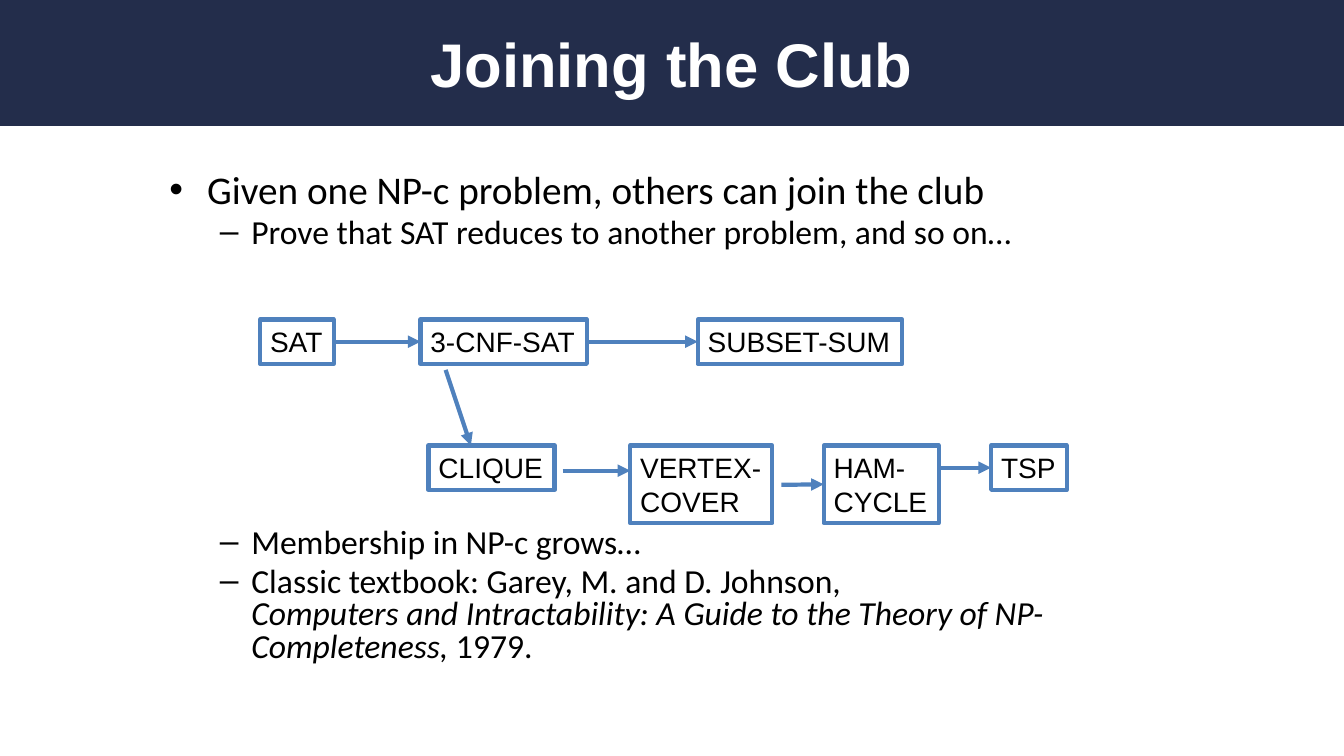
from lxml.etree import SubElement
from pptx import Presentation
from pptx.dml.color import RGBColor
from pptx.enum.shapes import MSO_CONNECTOR, MSO_SHAPE
from pptx.enum.text import MSO_ANCHOR, MSO_AUTO_SIZE, PP_ALIGN
from pptx.oxml.ns import qn
from pptx.util import Inches, Pt

NAVY, BLUE, BLACK, WHITE = "232D4B", "4F81BD", "000000", "FFFFFF"
HEADING = "Joining the Club"
POINTS = [
    (0, 28, 0, [("Given one NP-c problem, others can join the club", False)]),
    (1, 24, 5, [("Prove that SAT reduces to another problem, and so on…", False)]),
    (1, 24, 198, [("Membership in NP-c grows…", False)]),
    (1, 24, 5, [
        ("Classic textbook: Garey, M. and D. Johnson,\n", False),
        ("Computers and Intractability: A Guide to the Theory of NP-Completeness,", True),
        (" 1979.", False),
    ]),
]
TOP_ROW, LOWER_ROW = 3.17, 4.42
ONE_LINE, TWO_LINES = 0.44, 0.77
PROBLEMS = {
    "SAT": (2.58, TOP_ROW, 0.73, ONE_LINE),
    "3-CNF-SAT": (4.17, TOP_ROW, 1.65, ONE_LINE),
    "SUBSET-SUM": (6.92, TOP_ROW, 2.03, ONE_LINE),
    "CLIQUE": (4.25, LOWER_ROW, 1.25, ONE_LINE),
    "VERTEX-\vCOVER": (6.25, LOWER_ROW, 1.41, TWO_LINES),
    "HAM-\vCYCLE": (8.17, LOWER_ROW, 1.14, TWO_LINES),
    "TSP": (9.83, LOWER_ROW, 0.75, ONE_LINE),
}
REDUCTIONS = [
    ("SAT", "3-CNF-SAT"),
    ("3-CNF-SAT", "SUBSET-SUM"),
    ((4.42, 3.67), (4.67, 4.42)),
    ((5.58, 4.67), (6.25, 4.67)),
    ((7.75, 4.81), "HAM-\vCYCLE"),
    ((9.33, 4.64), "TSP"),
]
RIGHT_SIDE, LEFT_SIDE = 3, 1


def color(hex_string):
    return RGBColor.from_string(hex_string)


def place(part, left, top, width, height):
    part.left, part.top = Inches(left), Inches(top)
    part.width, part.height = Inches(width), Inches(height)


def style(run, size, font, ink, bold=False, italic=False):
    run.font.size, run.font.name = Pt(size), font
    run.font.color.rgb = color(ink)
    run.font.bold, run.font.italic = bold, italic


def outline(part):
    part.line.color.rgb = color(BLUE)
    part.line.width = Pt(3)


def write_heading(title):
    place(title, 0, 0, 13.33, 1.25)
    title.fill.solid()
    title.fill.fore_color.rgb = color(NAVY)
    frame = title.text_frame
    frame.text = HEADING
    frame.auto_size = MSO_AUTO_SIZE.NONE
    frame.vertical_anchor = MSO_ANCHOR.MIDDLE
    frame.paragraphs[0].alignment = PP_ALIGN.CENTER
    style(frame.paragraphs[0].runs[0], 44, "Arial", WHITE, bold=True)


def write_points(body):
    place(body, 1.58, 1.68, 9.83, 5.32)
    frame = body.text_frame
    frame.auto_size = MSO_AUTO_SIZE.NONE
    frame.vertical_anchor = MSO_ANCHOR.TOP
    for index, (level, size, gap, pieces) in enumerate(POINTS):
        point = frame.add_paragraph() if index else frame.paragraphs[0]
        point.level, point.line_spacing, point.space_before = level, 0.8, Pt(gap)
        point.text = pieces[0][0]
        for words, _ in pieces[1:]:
            point.add_run().text = words
        for run, (_, italic) in zip(point.runs, pieces):
            style(run, size, "Calibri", BLACK, italic=italic)
        for line_break in point._p.findall(qn("a:br")):
            SubElement(line_break, qn("a:rPr"), sz=str(size * 100))


def add_problem(slide, name, bounds):
    box = slide.shapes.add_shape(MSO_SHAPE.RECTANGLE, *map(Inches, bounds))
    box.shadow.inherit = False
    box.fill.background()
    outline(box)
    frame = box.text_frame
    frame.text = name
    frame.word_wrap = False
    frame.auto_size = MSO_AUTO_SIZE.SHAPE_TO_FIT_TEXT
    frame.vertical_anchor = MSO_ANCHOR.TOP
    frame.paragraphs[0].alignment = PP_ALIGN.LEFT
    for run in frame.paragraphs[0].runs:
        style(run, 20, "Arial", BLACK)
    for line_break in frame.paragraphs[0]._p.findall(qn("a:br")):
        SubElement(line_break, qn("a:rPr"), sz="2000")
    return box


def add_reduction(slide, boxes, source, target):
    start = (0, 0) if source in boxes else source
    end = (0, 0) if target in boxes else target
    arrow = slide.shapes.add_connector(MSO_CONNECTOR.STRAIGHT, *map(Inches, start + end))
    if source in boxes:
        arrow.begin_connect(boxes[source], RIGHT_SIDE)
    if target in boxes:
        arrow.end_connect(boxes[target], LEFT_SIDE)
    outline(arrow)
    SubElement(arrow.line._get_or_add_ln(), qn("a:tailEnd"), type="triangle")
    SubElement(arrow._element.spPr, qn("a:effectLst"))


def main():
    deck = Presentation()
    deck.slide_width, deck.slide_height = Inches(13.33), Inches(7.5)
    slide = deck.slides.add_slide(deck.slide_layouts[1])
    write_heading(slide.shapes.title)
    write_points(slide.placeholders[1])
    boxes = {name: add_problem(slide, name, bounds) for name, bounds in PROBLEMS.items()}
    for source, target in REDUCTIONS:
        add_reduction(slide, boxes, source, target)
    deck.save("out.pptx")


if __name__ == "__main__":
    main()
